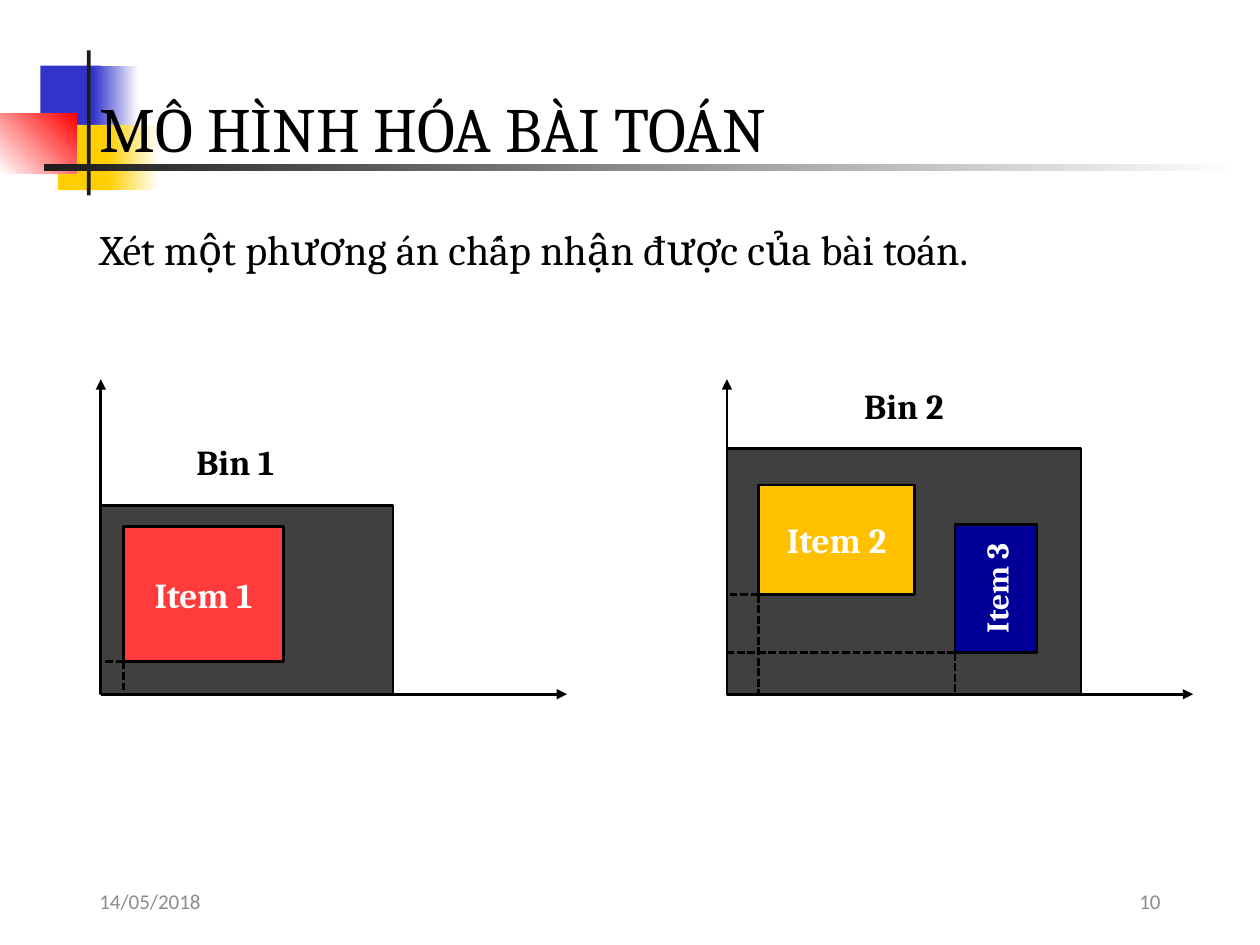
from lxml import etree
from pptx import Presentation
from pptx.dml.color import RGBColor
from pptx.enum.dml import MSO_LINE
from pptx.enum.shapes import MSO_CONNECTOR, MSO_SHAPE
from pptx.enum.text import MSO_ANCHOR, MSO_AUTO_SIZE, PP_ALIGN
from pptx.oxml.ns import qn
from pptx.util import Inches, Pt

RECTANGLE = MSO_SHAPE.RECTANGLE
STRAIGHT = MSO_CONNECTOR.STRAIGHT
DASH = MSO_LINE.SQUARE_DOT
TOP, MIDDLE = MSO_ANCHOR.TOP, MSO_ANCHOR.MIDDLE
LEFT, CENTER = PP_ALIGN.LEFT, PP_ALIGN.CENTER
RIGHT, JUSTIFY = PP_ALIGN.RIGHT, PP_ALIGN.JUSTIFY
NO_FIT = MSO_AUTO_SIZE.NONE

WIDTH, HEIGHT = 10, 7.5
MARGIN = 0.69
CONTENT = WIDTH - 2 * MARGIN
FLOOR = 5.51
AXIS_WIDTH, AXIS_HEIGHT = 3.7, 2.5

DECORATION = [
    (0.32, 0.52, 0.48, 0.52, ["3333CC"], 0),
    (0.74, 0.52, 0.36, 0.52, ["3333CC", "FFFFFF"], 0),
    (0.46, 0.99, 0.46, 0.52, ["FFCF01"], 0),
    (0.86, 0.99, 0.4, 0.52, ["FFCF01", "FFFFFF"], 0),
    (0, 0.9, 0.61, 0.48, ["FFFFFF", "FF0000"], 45),
    (0.69, 0.4, 0.03, 1.15, ["1C1C1C"], 0),
    (0.35, 1.3, 9.51, 0.06, ["1C1C1C", "FFFFFF"], 0),
]


def color(value):
    """Turn a hex string into a colour."""
    return RGBColor.from_string(value)


def inches(*lengths):
    """Turn numbers into slide lengths."""
    return [Inches(length) for length in lengths]


def write(box, text, size, shade, align=LEFT, anchor=MIDDLE, font="Cambria",
          bold=False, spacing=1.0):
    """Write one formatted paragraph into a box."""
    frame = box.text_frame
    frame.text = text
    frame.word_wrap = True
    frame.auto_size = NO_FIT
    frame.vertical_anchor = anchor
    para = frame.paragraphs[0]
    para.alignment = align
    para.line_spacing = spacing
    para.space_before = Pt(0)
    para.font.name = font
    para.font.size = Pt(size)
    para.font.bold = bold
    para.font.color.rgb = color(shade)
    return para


def add_text(page, place, *content, **style):
    """Add a text box."""
    write(page.shapes.add_textbox(*inches(*place)), *content, **style)


def fill_placeholder(box, place, *content, **style):
    """Place a placeholder in front of the shapes and fill it."""
    box.left, box.top, box.width, box.height = inches(*place)
    box.element.getparent().append(box.element)
    return write(box, *content, spacing=0.9, **style)


def add_rectangle(page, place, shades, angle=0, outlined=True):
    """Add a rectangle with a plain or two-colour fill."""
    box = page.shapes.add_shape(RECTANGLE, *inches(*place))
    box.shadow.inherit = False
    if len(shades) == 1:
        box.fill.solid()
        box.fill.fore_color.rgb = color(shades[0])
    else:
        box.fill.gradient()
        box.fill.gradient_angle = angle
        for stop, shade in zip(box.fill.gradient_stops, shades):
            stop.color.rgb = color(shade)
    if outlined:
        box.line.color.rgb = color("000000")
        box.line.width = Pt(1.5)
    else:
        box.line.fill.background()
    return box


def add_line(page, start, end, dashed=False):
    """Add a dashed guide or an axis with an arrowhead."""
    line = page.shapes.add_connector(STRAIGHT, *inches(*start, *end))
    line.line.color.rgb = color("000000")
    line.line.width = Pt(1.5)
    if dashed:
        line.line.dash_style = DASH
    else:
        etree.SubElement(line.line._get_or_add_ln(), qn("a:tailEnd"), type="triangle")
    etree.SubElement(line.element.spPr, qn("a:effectLst"))


def add_bin(page, origin, width, height, name, name_left):
    """Add a named bin standing on its two axes."""
    top = FLOOR - height
    add_rectangle(page, (origin, top, width, height), ["404040"])
    add_text(page, (name_left, top - 0.56, 1, 0.44), name, 20, "000000",
             anchor=TOP, bold=True)
    add_line(page, (origin, FLOOR), (origin + AXIS_WIDTH, FLOOR))
    add_line(page, (origin, FLOOR), (origin, FLOOR - AXIS_HEIGHT))


def add_item(page, origin, place, name, shade, size=20, upright=False):
    """Add an item and the guides from its lower left corner to the axes."""
    left, top, width, height = place
    bottom = top + height
    if upright:
        shift = (height - width) / 2
        place = (left - shift, top + shift, height, width)
    box = add_rectangle(page, place, [shade])
    box.rotation = 270 if upright else 0
    write(box, name, size, "FFFFFF", align=CENTER, bold=True)
    add_line(page, (left, bottom), (left, FLOOR), dashed=True)
    add_line(page, (left, bottom), (origin, bottom), dashed=True)


def main():
    """Build the slide."""
    deck = Presentation()
    deck.slide_width, deck.slide_height = inches(WIDTH, HEIGHT)
    page = deck.slides.add_slide(deck.slide_layouts[1])
    for *place, shades, angle in DECORATION:
        add_rectangle(page, place, shades, angle, outlined=False)

    fill_placeholder(page.shapes.title, (MARGIN, 0.32, CONTENT, 1.45),
                     "MÔ HÌNH HÓA BÀI TOÁN", 36, "000000")
    para = fill_placeholder(page.placeholders[1], (MARGIN, 1.77, CONTENT, 0.51),
                            "Xét một phương án chấp nhận được của bài toán.",
                            24, "000000", align=JUSTIFY, anchor=TOP)
    properties = para._p.get_or_add_pPr()
    properties.set("marL", "0")
    properties.set("indent", "0")
    properties.insert_element_before(etree.Element(qn("a:buNone")),
                                     "a:tabLst", "a:defRPr", "a:extLst")

    first, second = 0.8, 5.77
    add_bin(page, first, 2.32, 1.5, "Bin 1", 1.46)
    add_bin(page, second, 2.81, 1.95, "Bin 2", 6.76)
    add_item(page, first, (0.98, 4.18, 1.27, 1.07), "Item 1", "FF3B3B")
    add_item(page, second, (6.02, 3.85, 1.24, 0.87), "Item 2", "FFC000")
    add_item(page, second, (7.58, 4.16, 0.65, 1.02), "Item 3", "000099",
             size=18, upright=True)

    for left, text, align in ((MARGIN, "14/05/2018", LEFT), (7.06, "10", RIGHT)):
        add_text(page, (left, 6.95, 2.25, 0.4), text, 12, "8C8C8C",
                 align=align, font="Calibri")
    deck.save("out.pptx")


if __name__ == "__main__":
    main()
